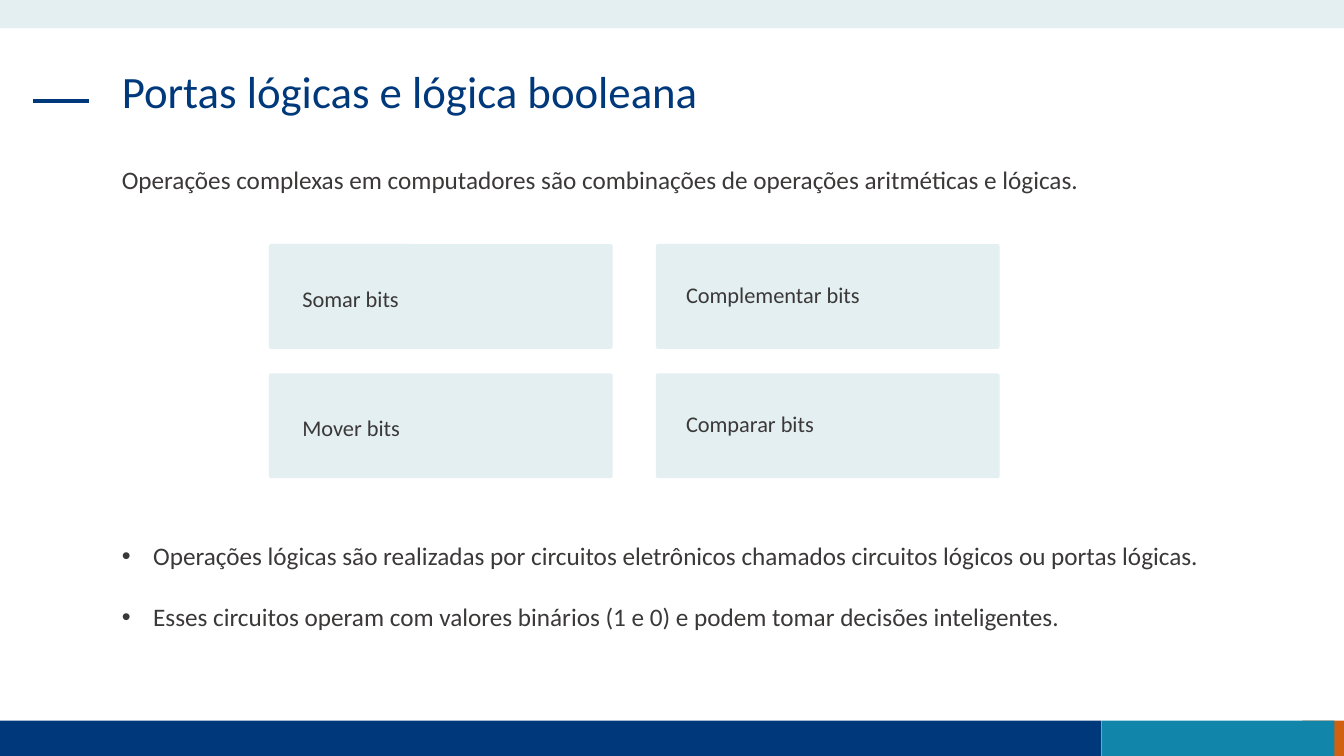
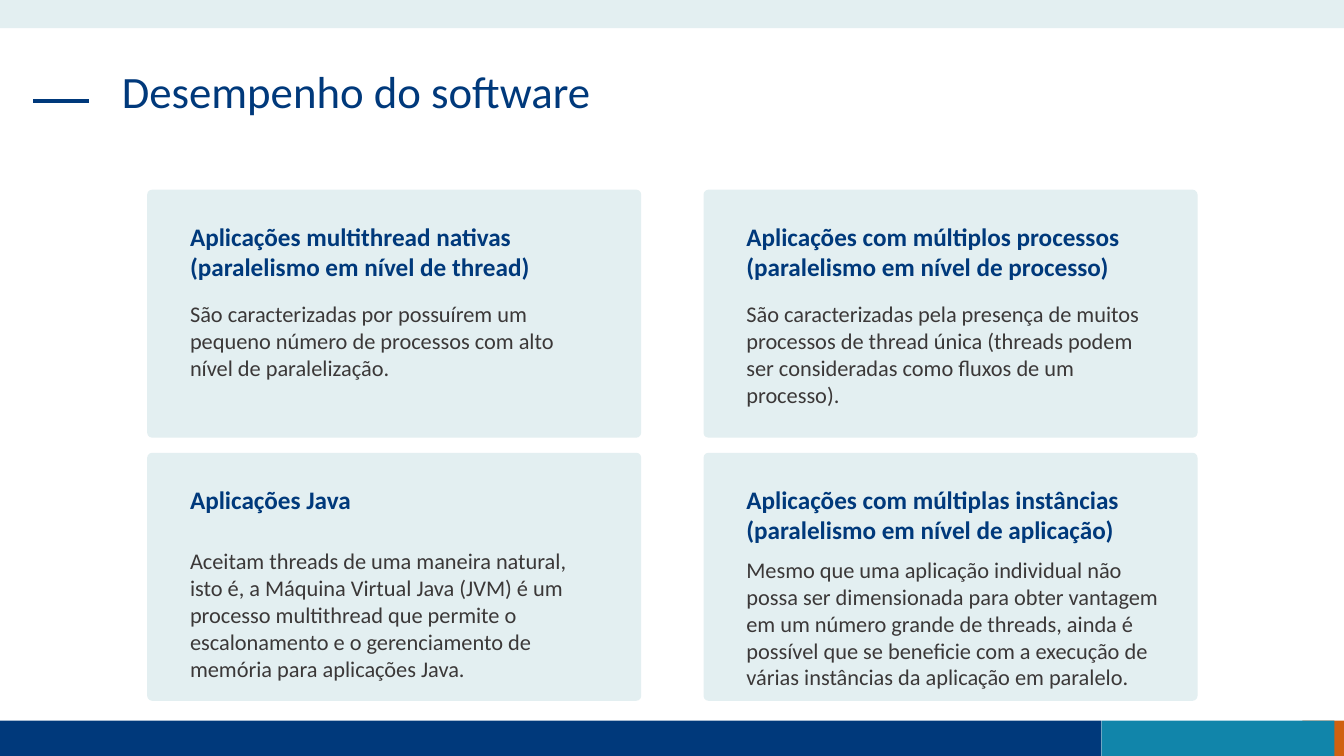
"""Build two slides on logic gates and software performance."""
from dataclasses import dataclass

from lxml.etree import SubElement
from pptx import Presentation
from pptx.dml.color import RGBColor
from pptx.enum.shapes import MSO_CONNECTOR, MSO_SHAPE
from pptx.enum.text import MSO_ANCHOR, MSO_AUTO_SIZE
from pptx.oxml.ns import qn
from pptx.util import Cm, Pt


@dataclass(frozen=True)
class Theme:
    """Colours, font and type sizes of the deck."""
    navy: RGBColor = RGBColor(0x00, 0x39, 0x7B)
    teal: RGBColor = RGBColor(0x11, 0x85, 0xAA)
    orange: RGBColor = RGBColor(0xD0, 0x61, 0x10)
    pale: RGBColor = RGBColor(0xE3, 0xEF, 0xF1)
    ink: RGBColor = RGBColor(0x3B, 0x38, 0x38)
    font: str = "Calibri"
    title: Pt = Pt(32)
    body: Pt = Pt(18)
    small: Pt = Pt(16)
    rule: Pt = Pt(3)
    bullet_gap: Pt = Pt(22)


T = Theme()
WIDTH, HEIGHT = 33.87, 19.05
MARGIN, TEXT_W = 2.82, 28.19
FOOT_TOP, FOOT_H = 18.16, 0.89
INDENT = 0.79

FRAME = {"word_wrap": True, "vertical_anchor": MSO_ANCHOR.TOP}
TITLE = {"size": T.title, "name": T.font, "bold": False}
BODY = {"size": T.body, "name": T.font, "bold": False}
SMALL = {"size": T.small, "name": T.font, "bold": False}
HEADING = {"size": T.body, "name": T.font, "bold": True}


def apply(obj, formats):
    """Set every attribute named in formats on obj."""
    for key, value in formats.items():
        setattr(obj, key, value)


def add_block(s, box, color, kind=MSO_SHAPE.RECTANGLE):
    """Add a plain filled shape without outline or shadow."""
    sp = s.shapes.add_shape(kind, *map(Cm, box))
    sp.shadow.inherit = False
    sp.fill.solid()
    sp.fill.fore_color.rgb = color
    sp.line.fill.background()
    return sp


def add_card(s, box):
    """Add a pale card with slightly rounded corners."""
    sp = add_block(s, box, T.pale, MSO_SHAPE.ROUNDED_RECTANGLE)
    sp.adjustments[0] = 0.02


def add_text(s, box, lines, formats, color, grow=True):
    """Add a text box with one paragraph per line."""
    tf = s.shapes.add_textbox(*map(Cm, box)).text_frame
    apply(tf, FRAME)
    tf.auto_size = MSO_AUTO_SIZE.SHAPE_TO_FIT_TEXT if grow else MSO_AUTO_SIZE.NONE
    for i, line in enumerate(lines):
        p = tf.add_paragraph() if i else tf.paragraphs[0]
        r = p.add_run()
        r.text = line
        apply(r.font, formats)
        r.font.color.rgb = color
    return tf


def add_bullets(s, box, lines):
    """Add a bulleted list with a hanging indent."""
    tf = add_text(s, box, lines, BODY, T.ink)
    for i, p in enumerate(tf.paragraphs):
        pPr = p._p.get_or_add_pPr()
        pPr.set("marL", str(Cm(INDENT)))
        pPr.set("indent", str(-Cm(INDENT)))
        SubElement(pPr, qn("a:buFont")).set("typeface", "Arial")
        SubElement(pPr, qn("a:buChar")).set("char", "•")
        if i:
            p.space_before = T.bullet_gap


def add_rule(s, x1, x2, y):
    """Add the horizontal dash beside the title."""
    line = s.shapes.add_connector(MSO_CONNECTOR.STRAIGHT, Cm(x1), Cm(y), Cm(x2), Cm(y))
    line.line.color.rgb = T.navy
    line.line.width = T.rule
    SubElement(line._element.spPr, qn("a:effectLst"))


def new_slide(prs, title):
    """Add a blank slide with the shared bands, dash and title."""
    s = prs.slides.add_slide(prs.slide_layouts[6])
    for x, w, color in ((32.82, 1.05, T.orange), (0, 27.76, T.navy), (27.76, 5.87, T.teal)):
        add_block(s, (x, FOOT_TOP, w, FOOT_H), color)
    add_block(s, (0, 0, WIDTH, 0.71), T.pale)
    add_rule(s, 0.84, 2.24, 2.54)
    tf = add_text(s, (MARGIN, 1.63, TEXT_W, 2.39), [title], TITLE, T.navy, grow=False)
    tf.paragraphs[0].line_spacing = 0.9
    return s


def grid(items, left, top, step_x, step_y):
    """Yield column, position and item for a two-column grid."""
    for i, item in enumerate(items):
        row, col = divmod(i, 2)
        yield col, left + col * step_x, top + row * step_y, item


def logic_slide(prs):
    """Build the slide on logic gates."""
    s = new_slide(prs, "Portas lógicas e lógica booleana")
    add_text(s, (MARGIN, 4.01, 25.58, 1.02),
             ["Operações complexas em computadores são combinações de operações "
              "aritméticas e lógicas."], BODY, T.ink)
    labels = ["Somar bits", "Complementar bits", "Mover bits", "Comparar bits"]
    offsets = ((0.59, 0.9), (0.51, 0.8))
    for col, x, y, label in grid(labels, 6.78, 6.15, 9.75, 3.26):
        dx, dy = offsets[col]
        add_card(s, (x, y, 8.66, 2.64))
        add_text(s, (x + dx, y + dy, 7.52, 0.94), [label], SMALL, T.ink)
    add_bullets(s, (MARGIN, 13.49, TEXT_W, 2.57), [
        "Operações lógicas são realizadas por circuitos eletrônicos chamados "
        "circuitos lógicos ou portas lógicas.",
        "Esses circuitos operam com valores binários (1 e 0) e podem tomar "
        "decisões inteligentes.",
    ])


def software_slide(prs):
    """Build the slide on software performance."""
    s = new_slide(prs, "Desempenho do software")
    cards = [
        ("Aplicações multithread nativas (paralelismo em nível de thread)",
         "São caracterizadas por possuírem um pequeno número de processos com alto "
         "nível de paralelização.", 2.67, 10.77, 2.31),
        ("Aplicações com múltiplos processos (paralelismo em nível de processo)",
         "São caracterizadas pela presença de muitos processos de thread única "
         "(threads podem ser consideradas como fluxos de um processo).", 2.67, 10.77, 3.0),
        ("Aplicações Java",
         "Aceitam threads de uma maneira natural, isto é, a Máquina Virtual Java "
         "(JVM) é um processo multithread que permite o escalonamento e o "
         "gerenciamento de memória para aplicações Java.", 2.26, 10.77, 3.68),
        ("Aplicações com múltiplas instâncias (paralelismo em nível de aplicação)",
         "Mesmo que uma aplicação individual não possa ser dimensionada para obter "
         "vantagem em um número grande de threads, ainda é possível que se beneficie "
         "com a execução de várias instâncias da aplicação em paralelo.", 2.48, 11.35, 3.68),
    ]
    for _, x, y, (heading, body, dy, w, h) in grid(cards, 3.71, 4.78, 14.02, 6.63):
        add_card(s, (x, y, 12.45, 6.25))
        add_text(s, (x + 0.83, y + 0.67, 10.77, 1.8), [heading], HEADING, T.navy)
        add_text(s, (x + 0.83, y + dy, w, h), [body], SMALL, T.ink)


def main():
    """Build and save the presentation."""
    prs = Presentation()
    apply(prs, {"slide_width": Cm(WIDTH), "slide_height": Cm(HEIGHT)})
    logic_slide(prs)
    software_slide(prs)
    prs.save("out.pptx")


if __name__ == "__main__":
    main()
